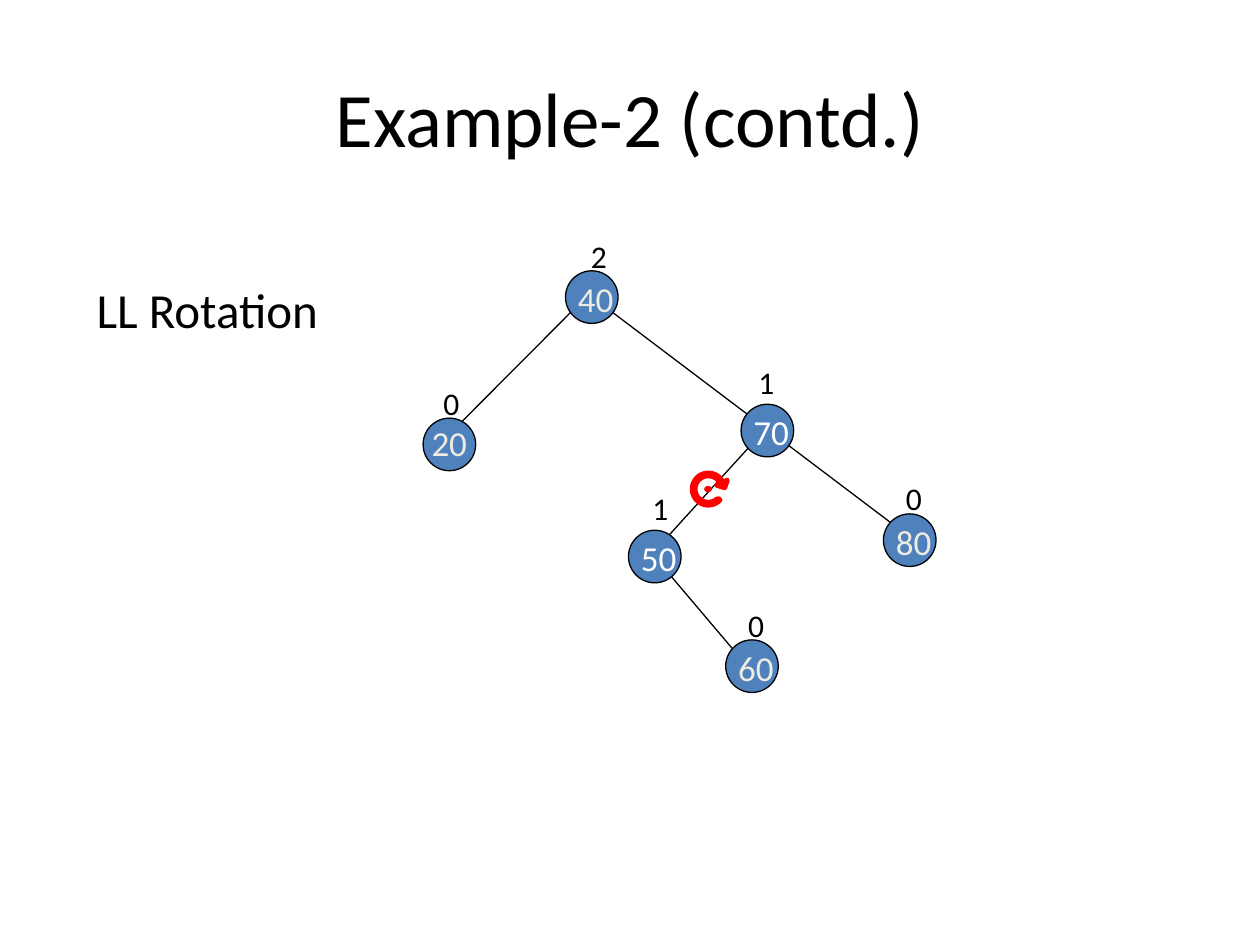
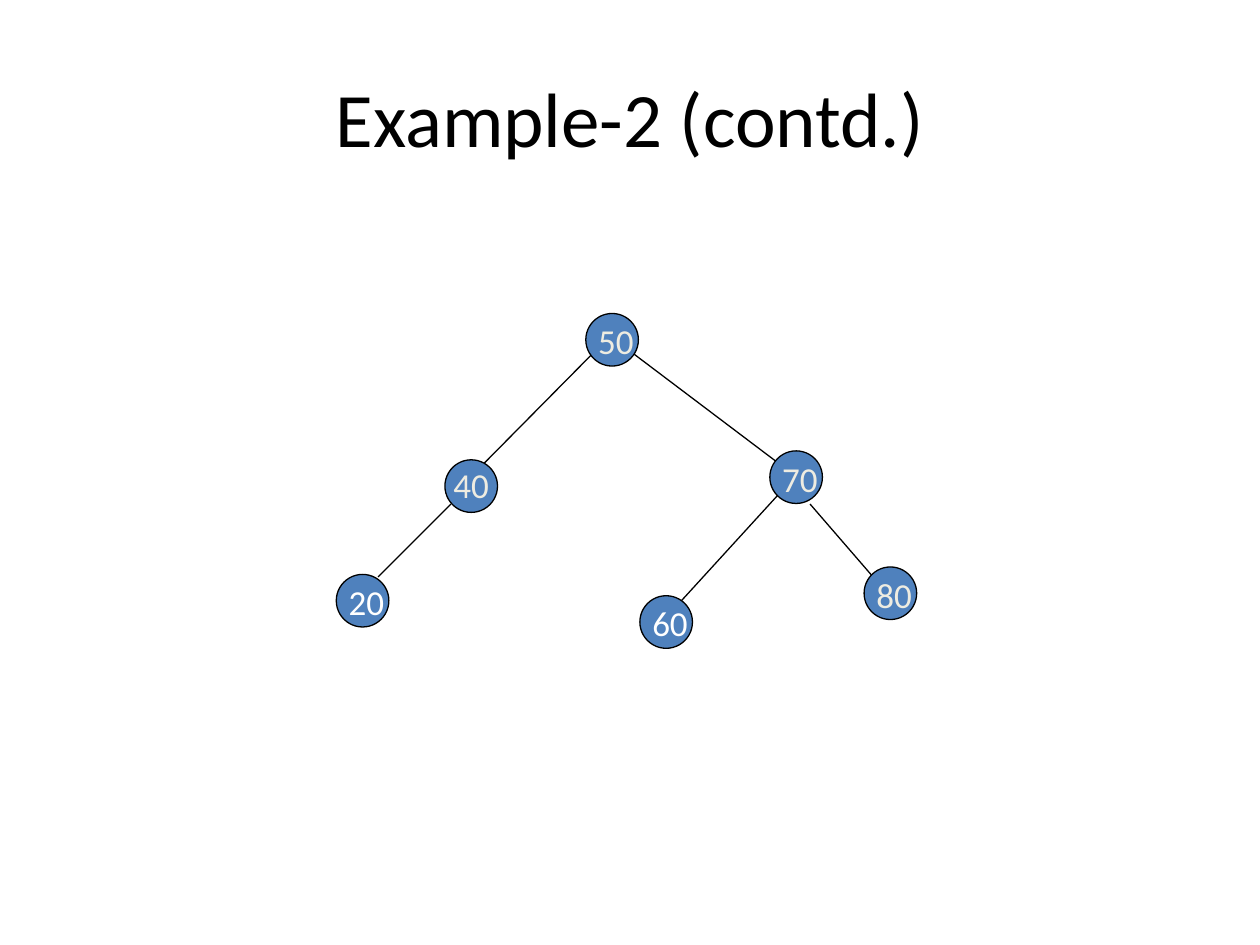
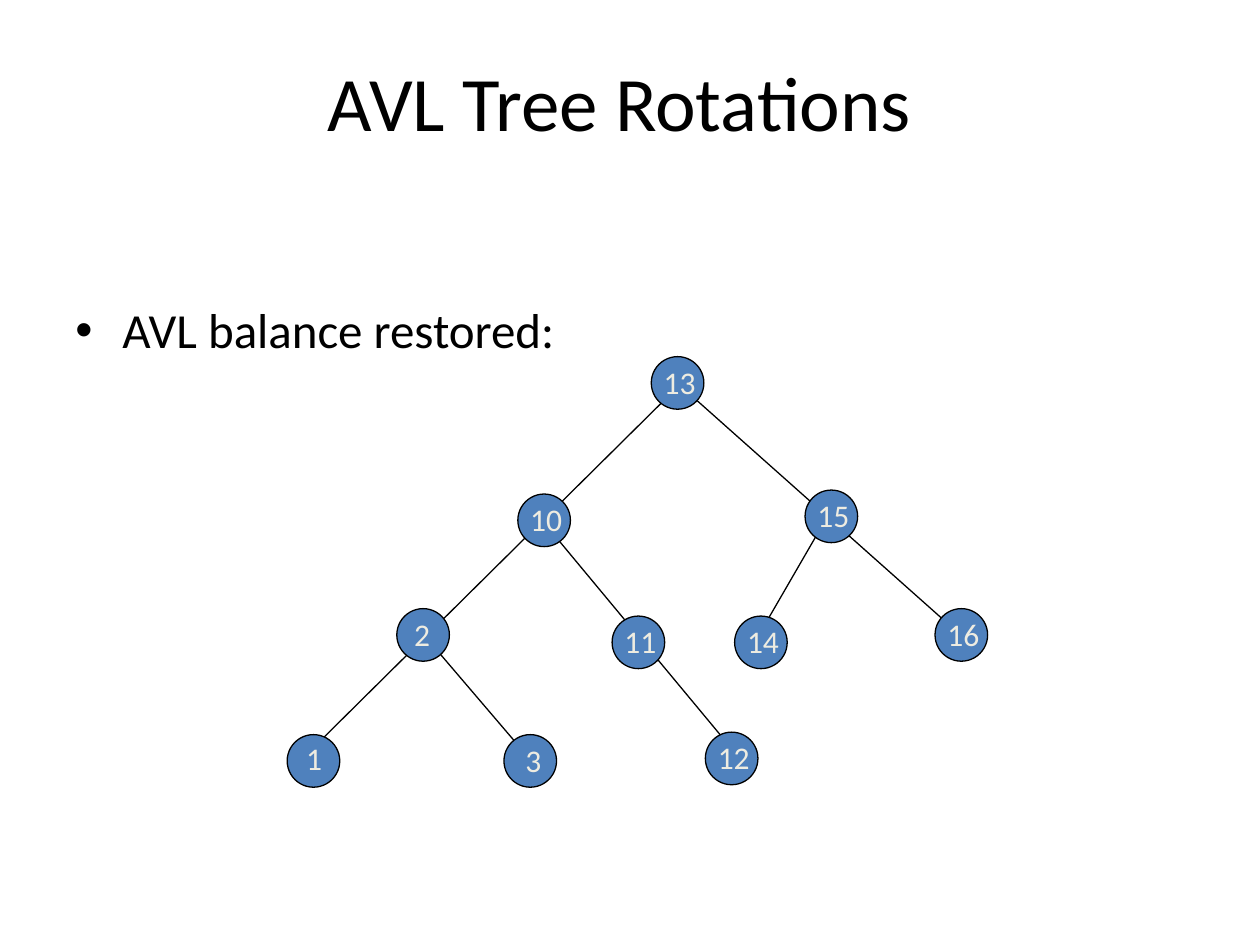
import math

import lxml.etree
import pptx
import pptx.dml.color
import pptx.enum.shapes
import pptx.enum.text
import pptx.oxml.ns
import pptx.util

Cm = pptx.util.Cm
Pt = pptx.util.Pt
SHAPES = pptx.enum.shapes.MSO_SHAPE
ALIGN = pptx.enum.text.PP_ALIGN
ANCHOR = pptx.enum.text.MSO_ANCHOR
AUTO_SIZE = pptx.enum.text.MSO_AUTO_SIZE

# Shared look
FONT = "Calibri"
BLACK, WHITE, CREAM = "000000", "FFFFFF", "EEECE1"
NODE_BLUE, ROTATION_RED = "4F81BD", "FF0000"
NODE_SIZE = 1.06
LABEL_WIDTH = 1.27
TITLE_AREA = (1.27, 0.76, 22.86, 3.18)
GROWING = {"word_wrap": True, "auto_size": AUTO_SIZE.SHAPE_TO_FIT_TEXT}
ONE_LINE = {"word_wrap": False, "auto_size": AUTO_SIZE.SHAPE_TO_FIT_TEXT}
FIXED = {"word_wrap": True, "auto_size": AUTO_SIZE.NONE}

# Trees: nodes are (key, left, top[, label shift x, y[, label colour]]),
# edges are (from x, from y, to x, to y), all in centimetres
UNBALANCED_NODES = [
    ("40", 11.4, 5.46),
    ("70", 14.94, 8.15, 0, 0, WHITE),
    ("80", 17.81, 10.36),
    ("20", 8.53, 8.43, -0.08, -0.05),
    ("50", 12.67, 10.69, 0, 0, WHITE),
    ("60", 14.63, 12.9),
]
UNBALANCED_EDGES = [
    (15.44, 8.64, 13.34, 10.95),
    (9.17, 8.64, 11.91, 5.89),
    (11.81, 5.89, 17.96, 10.54),
    (13.54, 11.63, 14.81, 13.13),
]
BALANCE_FACTORS = [
    ("2", 11.66, 4.65), ("0", 8.69, 7.62), ("1", 12.9, 9.73),
    ("1", 15.04, 7.19), ("0", 18.01, 9.53), ("0", 14.83, 12.09),
]
ROTATED_NODES = [
    ("50", 11.81, 6.32),
    ("20", 6.78, 11.58, 0, 0, WHITE),
    ("70", 15.52, 9.09),
    ("40", 8.97, 9.27, -0.08, -0.05),
    ("60", 12.9, 12.01, 0, 0, WHITE),
    ("80", 17.42, 11.43),
]
ROTATED_EDGES = [
    (15.7, 9.96, 13.59, 12.27),
    (9.6, 9.5, 12.34, 6.73),
    (12.24, 6.73, 15.67, 9.32),
    (16.33, 10.16, 17.6, 11.63),
    (7.62, 11.63, 9.09, 10.16),
]
RESTORED_NODES = [
    ("1", 5.79, 14.81, 0.13, -0.03),
    ("3", 10.16, 14.81, 0.18, 0),
    ("13", 13.13, 7.19),
    ("15", 16.23, 9.88),
    ("16", 18.85, 12.27),
    ("10", 10.44, 9.96),
    ("14", 14.81, 12.42),
    ("2", 8, 12.27, 0.1, 0),
    ("11", 12.34, 12.42),
    ("12", 14.22, 14.76),
]
RESTORED_EDGES = [
    (6.35, 15.04, 13.69, 7.77),
    (8.46, 12.7, 10.8, 15.44),
    (10.82, 10.36, 15.04, 15.44),
    (16.71, 10.36, 15.24, 12.9),
    (13.54, 7.62, 19.25, 12.7),
]


def colour(value):
    return pptx.dml.color.RGBColor.from_string(value)


def apply_format(target, values):
    for name, value in values.items():
        setattr(target, name, value)


def write(box, text, size, text_colour, frame_format):
    """Put one formatted paragraph into a box and return the paragraph."""
    apply_format(box.text_frame, frame_format)
    para = box.text_frame.paragraphs[0]
    span = para.add_run()
    span.text = text
    apply_format(span.font, {"name": FONT, "size": Pt(size)})
    span.font.color.rgb = colour(text_colour)
    return para


def add_text(page, text, area, size, text_colour=BLACK, frame_format=GROWING):
    box = page.shapes.add_textbox(*map(Cm, area))
    return write(box, text, size, text_colour, frame_format)


def add_page(deck, title, area=TITLE_AREA):
    page = deck.slides.add_slide(deck.slide_layouts[5])
    box = page.shapes.title
    apply_format(box, dict(zip(("left", "top", "width", "height"), map(Cm, area))))
    para = write(box, title, 44, BLACK, {**FIXED, "vertical_anchor": ANCHOR.MIDDLE})
    para.alignment = ALIGN.CENTER
    return page


def paint(shape, fill, line, width=0.75):
    shape.shadow.inherit = False
    shape.fill.solid()
    shape.fill.fore_color.rgb = colour(fill)
    shape.line.color.rgb = colour(line)
    shape.line.width = Pt(width)


def add_edge(page, *ends):
    edge = page.shapes.add_connector(
        pptx.enum.shapes.MSO_CONNECTOR.STRAIGHT, *map(Cm, ends))
    edge.line.color.rgb = colour(BLACK)
    edge.line.width = Pt(0.75)
    properties = edge._element.spPr
    lxml.etree.SubElement(properties, pptx.oxml.ns.qn("a:effectLst"))


def add_node(page, size, key, left, top, shift_x=0, shift_y=0, key_colour=CREAM):
    circle = page.shapes.add_shape(
        SHAPES.OVAL, *map(Cm, (left, top, NODE_SIZE, NODE_SIZE)))
    paint(circle, NODE_BLUE, BLACK)
    height = 1.12 if size == 20 else 1.02
    add_text(page, key, (left + shift_x, top + shift_y, LABEL_WIDTH, height),
             size, key_colour)


def add_tree(page, nodes, edges, size=20):
    for edge in edges:
        add_edge(page, *edge)
    for node in nodes:
        add_node(page, size, *node)


def add_rotation_arrow(page, x, y):
    """Draw a clockwise open ring with an arrowhead around a pivot dot."""
    def arc(radius, start, stop, step):
        angles = map(math.radians, range(start, stop, step))
        return [(radius * math.cos(a), radius * math.sin(a)) for a in angles]

    head = [(0.38, -0.18), (0.33, -0.03), (0.17, -0.08)]
    outline = arc(0.32, 43, 338, 7) + head + arc(0.27, 333, 44, -7)
    points = [(Cm(x + dx), Cm(y + dy)) for dx, dy in outline]
    builder = page.shapes.build_freeform(*points[0])
    builder.add_line_segments(points[1:], close=True)
    paint(builder.convert_to_shape(), ROTATION_RED, ROTATION_RED, 3)
    pivot = page.shapes.add_shape(
        SHAPES.OVAL, *map(Cm, (x - 0.07, y - 0.05, 0.13, 0.1)))
    paint(pivot, ROTATION_RED, ROTATION_RED)


def add_bullet(para, indent):
    properties = para._p.get_or_add_pPr()
    properties.set("marL", str(Cm(indent)))
    properties.set("indent", str(-Cm(indent)))
    for tag, name, value in (("a:buFont", "typeface", "Arial"),
                             ("a:buChar", "char", "•")):
        lxml.etree.SubElement(properties, pptx.oxml.ns.qn(tag)).set(name, value)


def main():
    deck = pptx.Presentation()
    apply_format(deck, {"slide_width": Cm(25.4), "slide_height": Cm(19.05)})

    # Tree before the rotation, with balance factors
    page = add_page(deck, "Example-2 (contd.)")
    add_text(page, "LL Rotation", (1.7, 5.51, 5.03, 1.45), 28, frame_format=ONE_LINE)
    add_tree(page, UNBALANCED_NODES, UNBALANCED_EDGES)
    for factor, left, top in BALANCE_FACTORS:
        add_text(page, factor, (left, top, 0.84, 1.02), 18, frame_format=ONE_LINE)
    add_rotation_arrow(page, 14.28, 9.86)

    # Tree after the rotation
    page = add_page(deck, "Example-2 (contd.)")
    add_tree(page, ROTATED_NODES, ROTATED_EDGES)

    # Restored tree
    page = add_page(deck, "AVL Tree Rotations", (1.7, 0.43, 21.59, 3.18))
    para = add_text(page, "AVL balance restored:", (1.27, 5.92, 11.63, 1.7), 28,
                    frame_format=FIXED)
    para.space_before = Pt(5.6)
    add_bullet(para, 0.95)
    add_tree(page, RESTORED_NODES, RESTORED_EDGES, size=18)

    deck.save("out.pptx")


if __name__ == "__main__":
    main()
